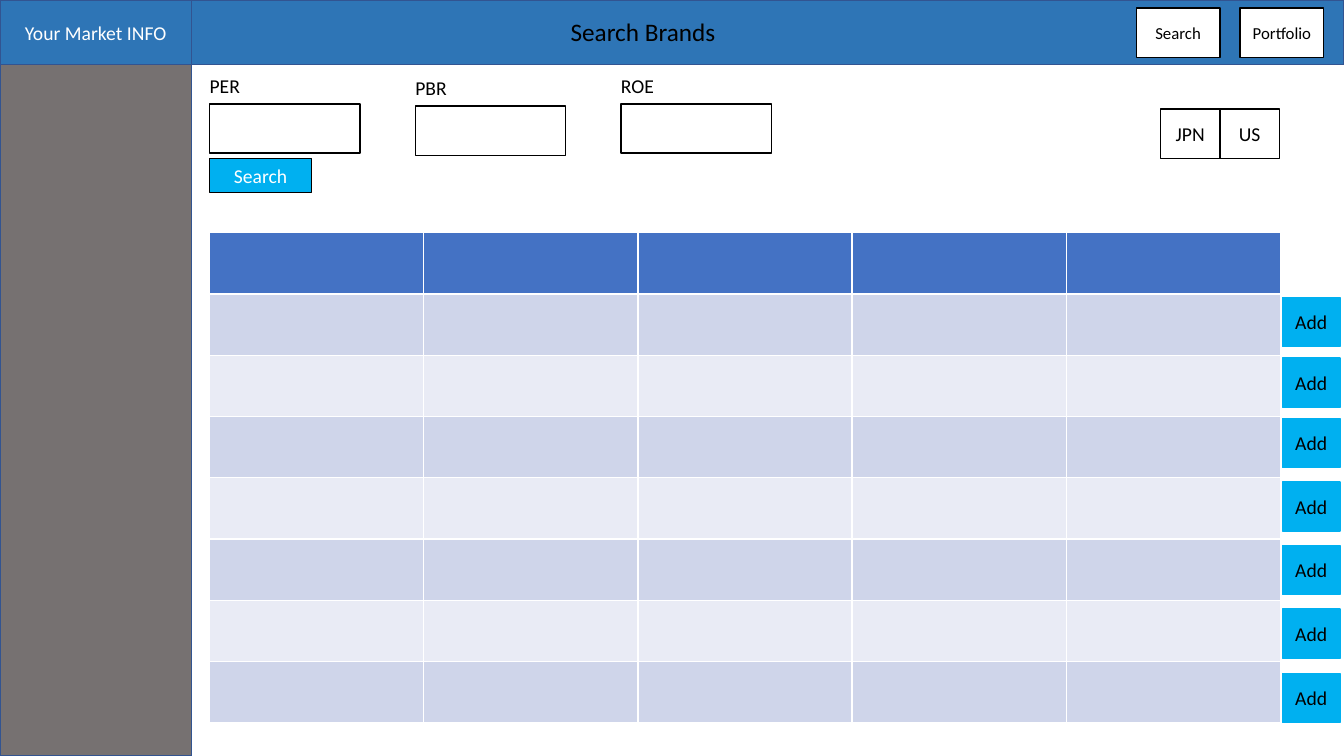
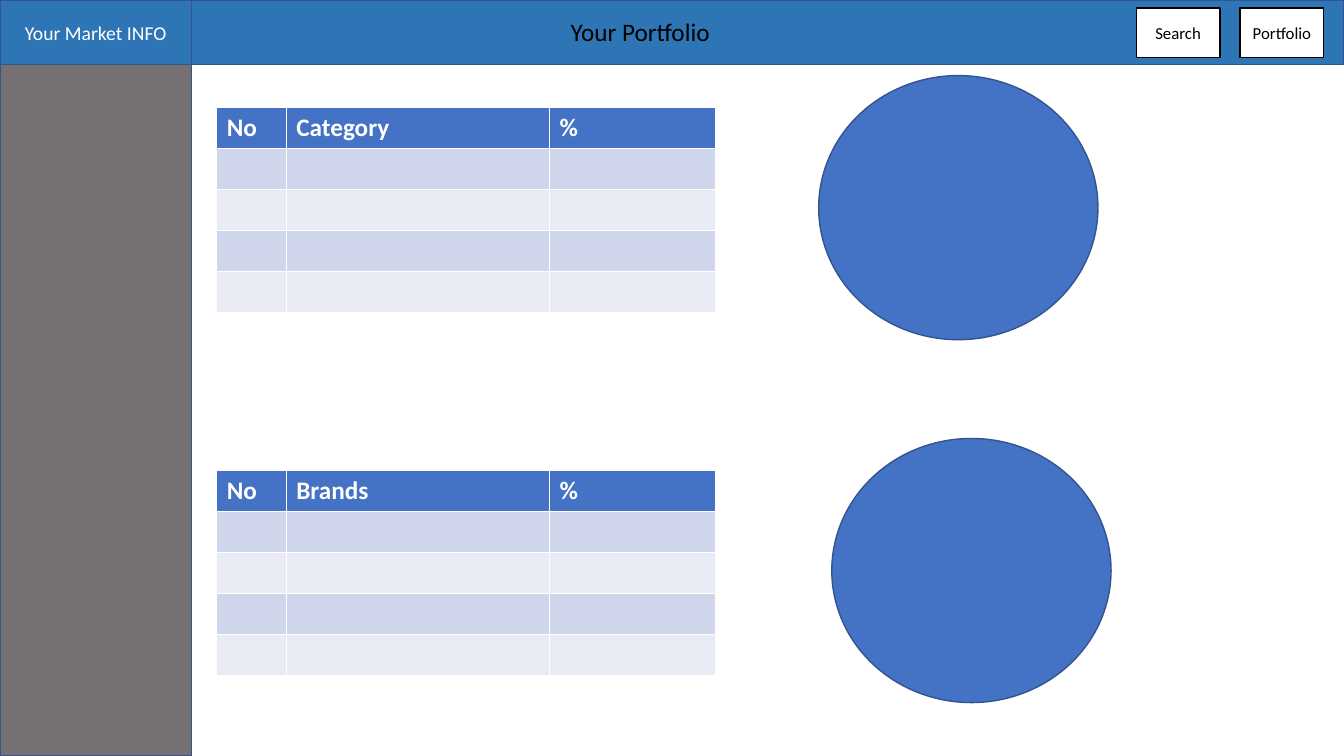
import pptx
import pptx.dml.color
import pptx.enum.shapes
import pptx.enum.text
import pptx.util

Inches = pptx.util.Inches
RGBColor = pptx.dml.color.RGBColor
SHAPE = pptx.enum.shapes.MSO_SHAPE
ANCHOR = pptx.enum.text.MSO_ANCHOR
ALIGN = pptx.enum.text.PP_ALIGN

WHITE = RGBColor(0xFF, 0xFF, 0xFF)
BLACK = RGBColor(0x00, 0x00, 0x00)
GREY = RGBColor(0x76, 0x71, 0x71)
BAND_BLUE = RGBColor(0x2E, 0x75, 0xB6)
EDGE_BLUE = RGBColor(0x32, 0x54, 0x91)
ACCENT_BLUE = RGBColor(0x44, 0x72, 0xC4)
SKY_BLUE = RGBColor(0x00, 0xB0, 0xF0)
ROW_DARK = RGBColor(0xCF, 0xD5, 0xEA)
ROW_LIGHT = RGBColor(0xE9, 0xEB, 0xF5)

FONT = "Calibri"
SLIDE_W, SLIDE_H = 13.33, 7.5
SIDEBAR_W, HEADER_H = 1.9, 0.64
BUTTON_H = 0.49
TITLE_ONLY = 5


def set_all(target, values):
    """Set every attribute of target named in values."""
    for attribute, value in values.items():
        setattr(target, attribute, value)


def place(box):
    """Turn a box in inches into lengths."""
    return [Inches(length) for length in box]


def write(frame, text, size, color, align=ALIGN.LEFT, anchor=ANCHOR.TOP, bold=False):
    """Write one formatted paragraph into a text frame."""
    set_all(frame, {"text": text, "word_wrap": True, "vertical_anchor": anchor,
                    "auto_size": pptx.enum.text.MSO_AUTO_SIZE.NONE})
    paragraph = frame.paragraphs[0]
    paragraph.alignment = align
    font = paragraph.runs[0].font
    set_all(font, {"name": FONT, "size": pptx.util.Pt(size), "bold": bold})
    font.color.rgb = color


def add_panel(slide, box, fill, edge, text="", size=14, color=BLACK, kind=SHAPE.RECTANGLE):
    """Draw a filled, outlined shape, with a centred caption if one is given."""
    panel = slide.shapes.add_shape(kind, *place(box))
    panel.shadow.inherit = False
    panel.fill.solid()
    panel.fill.fore_color.rgb = fill
    panel.line.color.rgb = edge
    panel.line.width = pptx.util.Pt(1)
    if text:
        write(panel.text_frame, text, size, color, ALIGN.CENTER, ANCHOR.MIDDLE)


def add_grid(slide, box, widths, row_count, headings=()):
    """Draw a banded table with equal rows that fill the box."""
    left, top, width, height = box
    grid = slide.shapes.add_table(row_count, len(widths), *place(box)).table
    for column, column_width in zip(grid.columns, widths):
        column.width = Inches(column_width)
    for index, row in enumerate(grid.rows):
        row.height = Inches(height / row_count)
        band = ROW_DARK if index % 2 else ROW_LIGHT
        for cell in row.cells:
            cell.fill.solid()
            cell.fill.fore_color.rgb = band if index else ACCENT_BLUE
    for cell, heading in zip(grid.rows[0].cells, headings):
        write(cell.text_frame, heading, 18, WHITE, bold=True)


def add_title(slide, box, text):
    """Move the title placeholder into the header and in front of it."""
    title = slide.shapes.title
    set_all(title, dict(zip(("left", "top", "width", "height"), place(box))))
    write(title.text_frame, text, 18, BLACK)
    title.element.getparent().append(title.element)


def add_header(slide, box, title):
    """Draw the header band with site name, navigation and title."""
    left, top, width, height = box
    add_panel(slide, box, BAND_BLUE, EDGE_BLUE)
    add_panel(slide, (left, top, SIDEBAR_W, height), BAND_BLUE, EDGE_BLUE,
              "Your Market INFO", color=WHITE)
    for index, caption in enumerate(("Search", "Portfolio")):
        nav_left = left + width - 2.06 + index * 1.03
        add_panel(slide, (nav_left, top + 0.08, 0.83, BUTTON_H), WHITE, BLACK, caption, 12)
    add_title(slide, (left + 5.56, top + 0.11, 2.69, 0.4), title)


def add_page(deck, title):
    """Add a slide with the shared sidebar and header."""
    slide = deck.slides.add_slide(deck.slide_layouts[TITLE_ONLY])
    add_panel(slide, (0, 0, SIDEBAR_W, SLIDE_H), GREY, EDGE_BLUE)
    add_header(slide, (0, 0, SLIDE_W, HEADER_H), title)
    return slide


def add_filters(slide, box):
    """Draw the ratio inputs, the search button and the market switch."""
    left, top, width, height = box
    for index, (ratio, drop) in enumerate((("PER", 0), ("PBR", 0.02), ("ROE", 0))):
        input_left = left + index * 2.04
        label = slide.shapes.add_textbox(*place((input_left - 0.1, top + drop, 0.81, 0.34)))
        write(label.text_frame, ratio, 14, BLACK)
        add_panel(slide, (input_left, top + 0.35 + drop, 1.49, BUTTON_H), WHITE, BLACK)
    add_panel(slide, (left, top + height - 0.34, 1.01, 0.34), SKY_BLUE, BLACK,
              "Search", color=WHITE)
    for index, market in enumerate(("JPN", "US")):
        market_left = left + width - 1.18 + index * 0.59
        add_panel(slide, (market_left, top + 0.4, 0.59, BUTTON_H), WHITE, BLACK, market)


def add_results(slide, box):
    """Draw the results table with an Add button beside each row."""
    left, top, width, height = box
    add_grid(slide, box, [width / 5] * 5, 8)
    for drop in (0.64, 1.24, 1.84, 2.47, 3.1, 3.73, 4.37):
        add_panel(slide, (left + width + 0.02, top + drop, 0.57, BUTTON_H),
                  SKY_BLUE, SKY_BLUE, "Add")


def add_breakdown(slide, box, subject, pie_shift):
    """Draw a share table with its round chart area on the right."""
    left, top, width, height = box
    add_grid(slide, (left, top + 0.32, 4.95, 2), (0.69, 2.61, 1.65), 5, ("No", subject, "%"))
    add_panel(slide, (left + 5.97 + pie_shift, top, 2.77, height),
              ACCENT_BLUE, EDGE_BLUE, kind=SHAPE.OVAL)


def build_search(deck):
    """Build the brand search slide."""
    slide = add_page(deck, "Search Brands")
    add_filters(slide, (2.08, 0.68, 10.61, 1.23))
    add_results(slide, (2.08, 2.31, 10.62, 4.86))


def build_portfolio(deck):
    """Build the portfolio slide."""
    slide = add_page(deck, "Your Portfolio")
    for subject, top, pie_shift in (("Category", 0.75, 0), ("Brands", 4.35, 0.13)):
        add_breakdown(slide, (2.15, top, 8.87, 2.62), subject, pie_shift)


deck = pptx.Presentation()
set_all(deck, {"slide_width": Inches(SLIDE_W), "slide_height": Inches(SLIDE_H)})
build_search(deck)
build_portfolio(deck)
deck.save("out.pptx")
